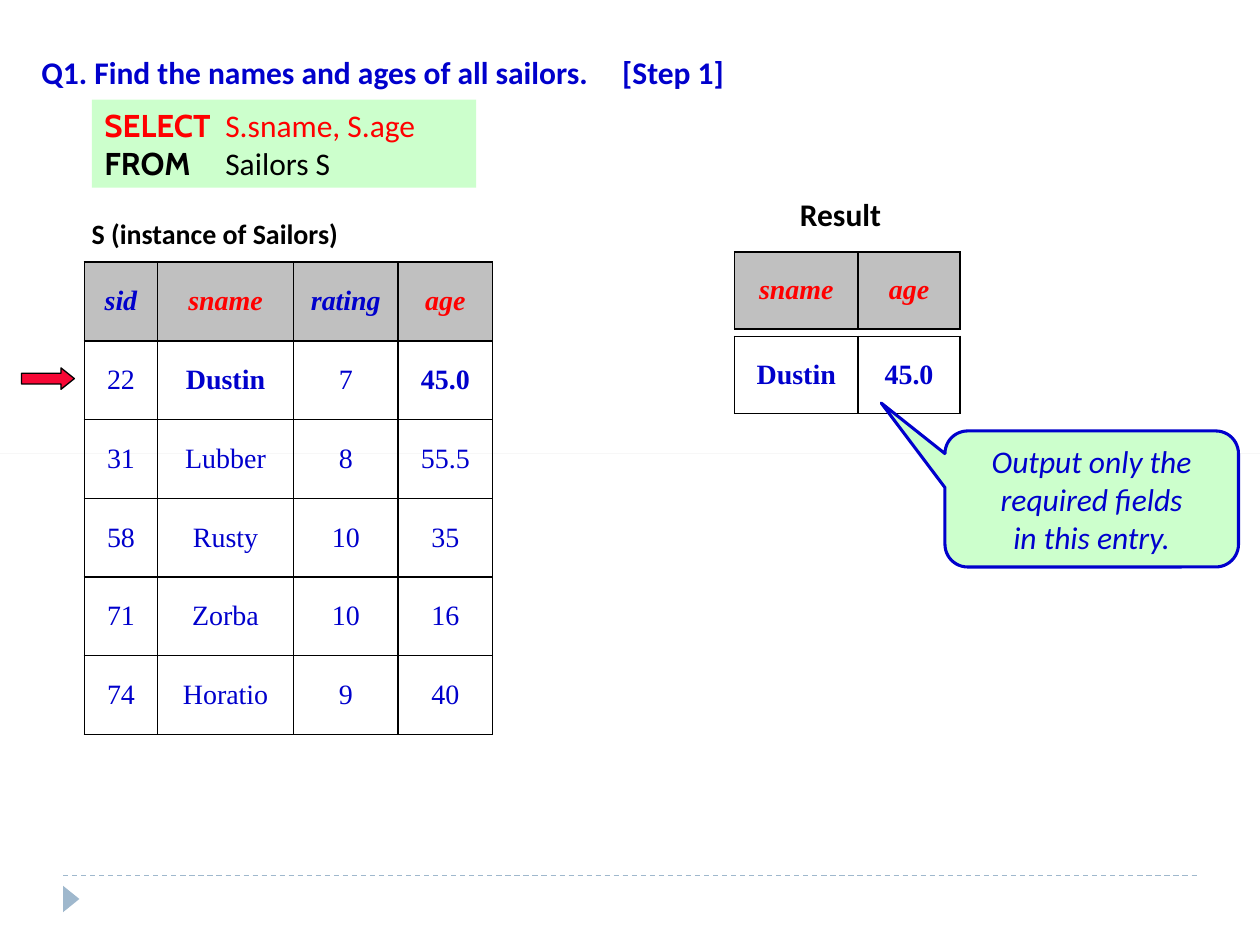
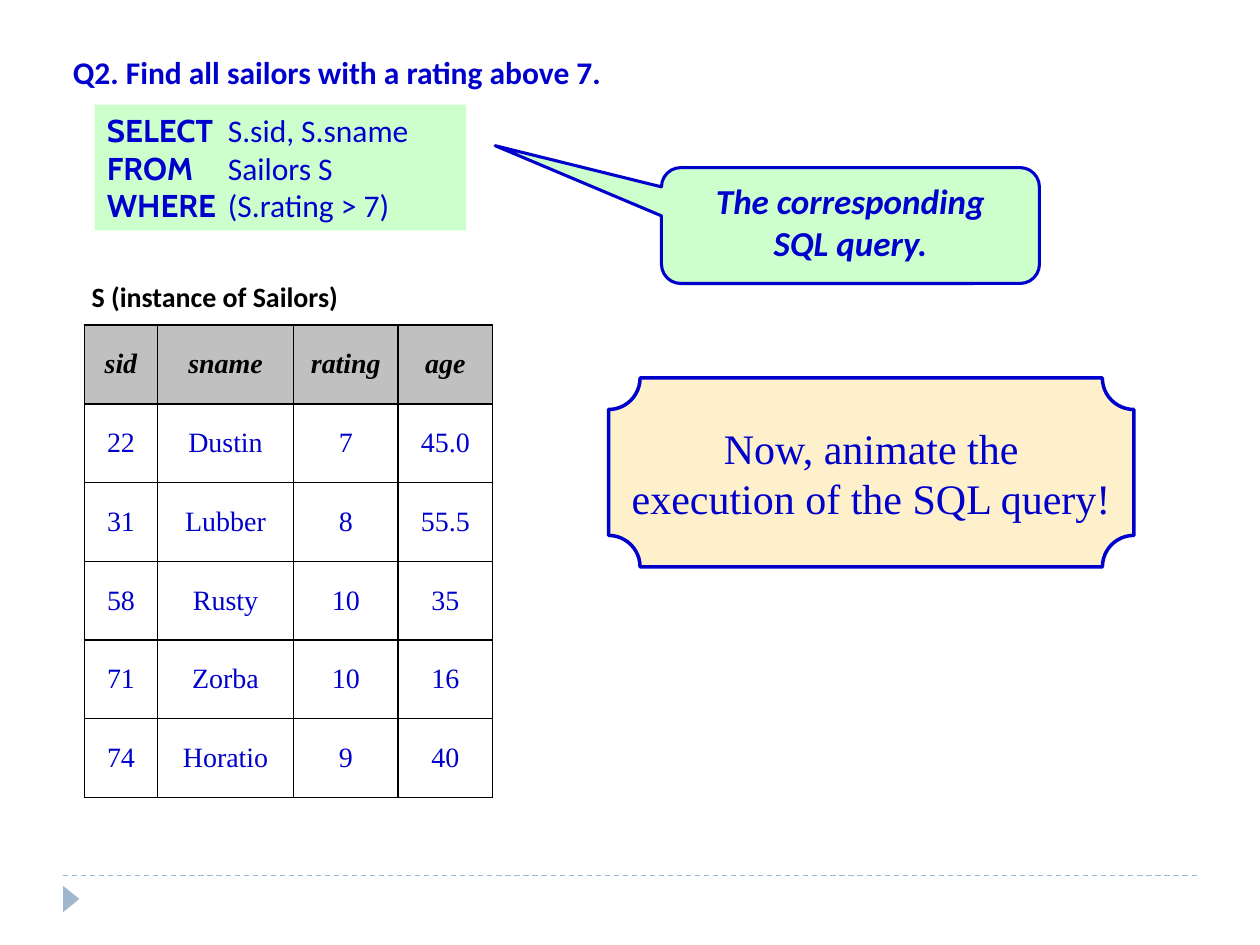
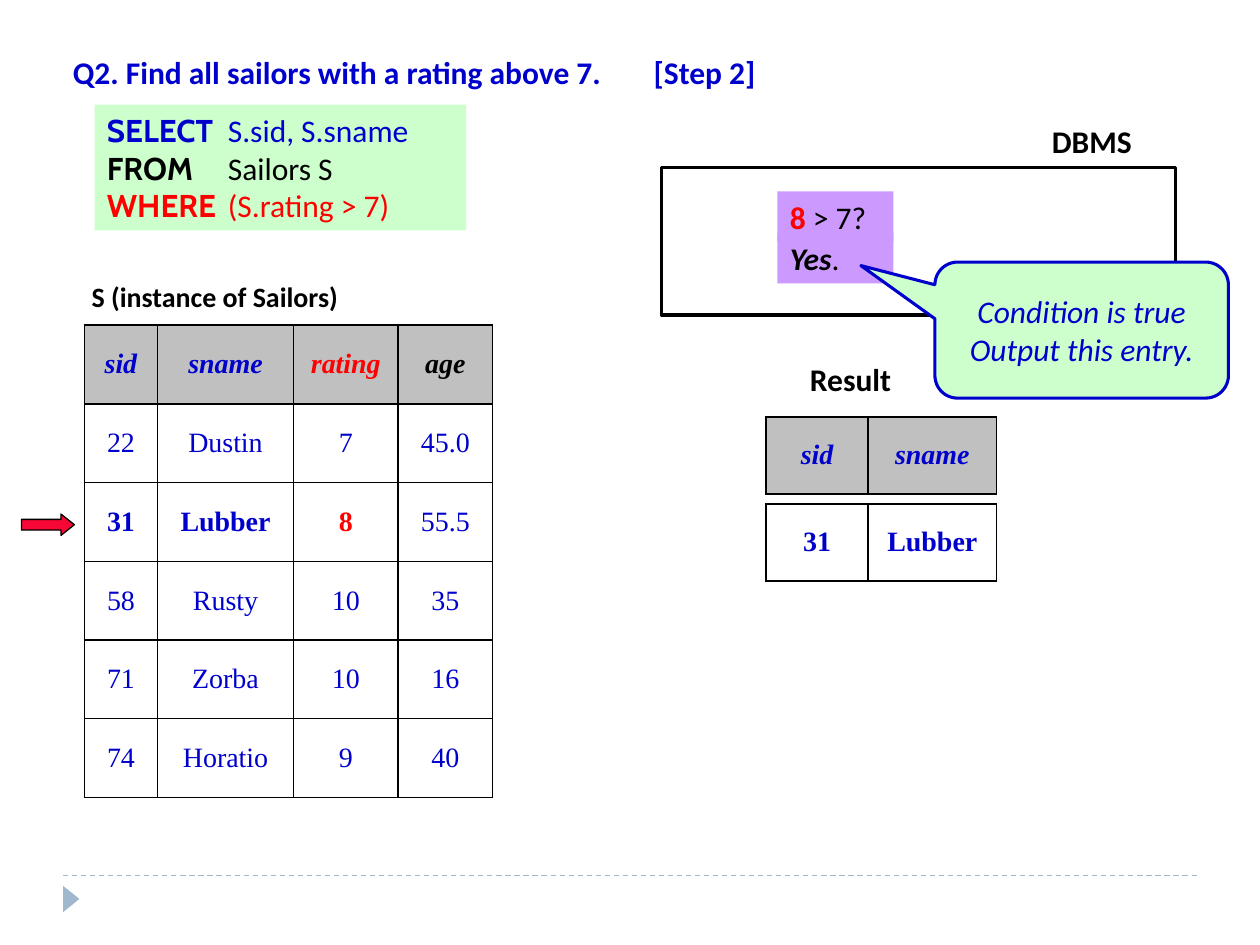
from typing import NamedTuple, Optional

from lxml.etree import SubElement
from pptx import Presentation
from pptx.dml.color import RGBColor
from pptx.enum.dml import MSO_LINE
from pptx.enum.shapes import MSO_CONNECTOR, MSO_SHAPE
from pptx.enum.text import MSO_ANCHOR, PP_ALIGN
from pptx.oxml.ns import qn
from pptx.util import Inches, Pt

BLUE, RED, BLACK = "0000CC", "FF0000", "000000"
GREEN, PURPLE, CREAM, GRAY = "CCFFCC", "CC99FF", "FDF0CA", "C0C0C0"
FOOTER_COLOR, ARROW_COLOR = "9FB8CD", "F70735"
SANS, KEYWORD_FONT, SERIF = "Calibri", "Cabin", "Times New Roman"

STEP_TAB, CLAUSE_TAB = 4.61, 0.96
SAILOR_WIDTHS = [0.58, 1.08, 0.83, 0.75]
SAILOR_ROW_HEIGHT, RESULT_ROW_HEIGHT = 0.625, 0.61
SAILOR_FIELDS = ["sid", "sname", "rating", "age"]
SAILORS = [
    ["22", "Dustin", "7", "45.0"],
    ["31", "Lubber", "8", "55.5"],
    ["58", "Rusty", "10", "35"],
    ["71", "Zorba", "10", "16"],
    ["74", "Horatio", "9", "40"],
]


class Box(NamedTuple):
    left: float
    top: float
    width: float
    height: float


class Run(NamedTuple):
    text: str
    color: str = BLACK
    bold: bool = False
    italic: bool = False
    font: str = SANS
    size: float = 18


class Clause(NamedTuple):
    keyword: str
    body: str
    color: str


class Frame(NamedTuple):
    """Fill and outline of a shape."""
    fill: Optional[str] = None
    line: Optional[str] = None
    line_width: float = 1.75


def rgb(color: str) -> RGBColor:
    return RGBColor.from_string(color)


# Text
def write(text_frame, lines: list[list[Run]], align=PP_ALIGN.LEFT,
          anchor=MSO_ANCHOR.TOP, tab: Optional[float] = None) -> None:
    text_frame.word_wrap = True
    text_frame.vertical_anchor = anchor
    for index, line in enumerate(lines):
        paragraph = text_frame.paragraphs[0] if index == 0 else text_frame.add_paragraph()
        paragraph.alignment = align
        if tab is not None:
            tab_list = SubElement(paragraph._p.get_or_add_pPr(), qn("a:tabLst"))
            SubElement(tab_list, qn("a:tab"), pos=str(Inches(tab)), algn="l")
        for item in line:
            run = paragraph.add_run()
            run.text = item.text
            run.font.name, run.font.size = item.font, Pt(item.size)
            run.font.bold, run.font.italic = item.bold, item.italic
            run.font.color.rgb = rgb(item.color)


def add_label(slide, box: Box, run: Run, tab: Optional[float] = None) -> None:
    text_box = slide.shapes.add_textbox(*map(Inches, box))
    write(text_box.text_frame, [[run]], tab=tab)


# Shapes
def add_frame(slide, kind, box: Box, frame: Frame, adjustments: tuple = ()):
    shape = slide.shapes.add_shape(kind, *map(Inches, box))
    shape.shadow.inherit = False
    if frame.fill:
        shape.fill.solid()
        shape.fill.fore_color.rgb = rgb(frame.fill)
    else:
        shape.fill.background()
    if frame.line:
        shape.line.color.rgb = rgb(frame.line)
        shape.line.width = Pt(frame.line_width)
    else:
        shape.line.fill.background()
    for index, value in enumerate(adjustments):
        shape.adjustments[index] = value
    return shape


def add_callout(slide, box: Box, tip: tuple[float, float], lines: list[Run],
                anchor=MSO_ANCHOR.MIDDLE) -> None:
    callout = add_frame(slide, MSO_SHAPE.ROUNDED_RECTANGULAR_CALLOUT, box,
                        Frame(GREEN, BLUE), (*tip, 0.167))
    write(callout.text_frame, [[line] for line in lines], PP_ALIGN.CENTER, anchor)


def add_query(slide, box: Box, clauses: list[Clause]) -> None:
    panel = add_frame(slide, MSO_SHAPE.RECTANGLE, box, Frame(GREEN))
    lines = [[Run(clause.keyword, clause.color, bold=True, font=KEYWORD_FONT),
              Run("\t" + clause.body, clause.color)] for clause in clauses]
    write(panel.text_frame, lines, tab=CLAUSE_TAB)


def add_row_arrow(slide, top: float) -> None:
    add_frame(slide, MSO_SHAPE.RIGHT_ARROW, Box(0.17, top, 0.42, 0.17),
              Frame(ARROW_COLOR, BLACK, 0.75), (0.5, 0.625))


# Tables
def header_run(text: str, color: str) -> Run:
    return Run(text, color, bold=True, italic=True, font=SERIF, size=16)


def value_run(text: str, color: str = BLUE, bold: bool = False) -> Run:
    return Run(text, color, bold, font=SERIF, size=16)


def add_borders(cell) -> None:
    properties = cell._tc.get_or_add_tcPr()
    for index, side in enumerate(("a:lnL", "a:lnR", "a:lnT", "a:lnB")):
        line = properties.makeelement(qn(side), {"w": str(Pt(1))})
        properties.insert(index, line)
        fill = SubElement(line, qn("a:solidFill"))
        SubElement(fill, qn("a:srgbClr"), val=BLACK)


def add_grid(slide, left: float, top: float, widths: list[float],
             row_height: float, rows: list[list[Run]]) -> None:
    table = slide.shapes.add_table(
        len(rows), len(widths), Inches(left), Inches(top),
        Inches(sum(widths)), Inches(row_height * len(rows))).table
    table.first_row = table.horz_banding = False
    for column, width in zip(table.columns, widths):
        column.width = Inches(width)
    for row, runs in zip(table.rows, rows):
        row.height = Inches(row_height)
        for cell, run in zip(row.cells, runs):
            # Field names are the only italic cells
            if run.italic:
                cell.fill.solid()
                cell.fill.fore_color.rgb = rgb(GRAY)
            else:
                cell.fill.background()
            add_borders(cell)
            write(cell.text_frame, [[run]], PP_ALIGN.CENTER)
            cell.vertical_anchor = MSO_ANCHOR.MIDDLE


def add_sailors(slide, top: float, header_colors: list[str],
                bold: tuple = (), red: tuple = ()) -> None:
    """Draw the Sailors table with its caption; bold and red list the marked values."""
    add_label(slide, Box(0.63, top - 0.41, 2.54, 0.37),
              Run("S (instance of Sailors)", bold=True, size=16))
    header = [header_run(*field) for field in zip(SAILOR_FIELDS, header_colors)]
    body = [[value_run(value, RED if value in red else BLUE, value in bold)
             for value in sailor] for sailor in SAILORS]
    add_grid(slide, 0.67, top, SAILOR_WIDTHS, SAILOR_ROW_HEIGHT, [header] + body)


def add_result(slide, label_left: float, left: float, top: float, entry_top: float,
               widths: list[float], fields: list[str], color: str,
               entry: list[str]) -> None:
    add_label(slide, Box(label_left, top - 0.5, 1.08, 0.4), Run("Result", bold=True))
    add_grid(slide, left, top, widths, RESULT_ROW_HEIGHT,
             [[header_run(field, color) for field in fields]])
    add_grid(slide, left, entry_top, widths, RESULT_ROW_HEIGHT,
             [[value_run(value, bold=True) for value in entry]])


# Parts every slide shares
def start_slide(presentation, title: str, title_left: float):
    slide = presentation.slides.add_slide(presentation.slide_layouts[6])
    rule = slide.shapes.add_connector(MSO_CONNECTOR.STRAIGHT, Inches(0.5), Inches(6.95),
                                      Inches(9.5), Inches(6.95))
    rule.line.color.rgb = rgb(FOOTER_COLOR)
    rule.line.width = Pt(0.75)
    rule.line.dash_style = MSO_LINE.DASH
    SubElement(rule._element.spPr, qn("a:effectLst"))
    marker = add_frame(slide, MSO_SHAPE.ISOSCELES_TRIANGLE, Box(0.46, 7.07, 0.21, 0.13),
                       Frame(FOOTER_COLOR))
    marker.rotation = 90
    add_label(slide, Box(title_left, 0.37, 8.18, 0.4), Run(title, BLUE, bold=True), STEP_TAB)
    return slide


def build_names_step(presentation) -> None:
    slide = start_slide(presentation, "Q1. Find the names and ages of all sailors.\t[Step 1]", 0.23)
    add_frame(slide, MSO_SHAPE.RECTANGLE, Box(0, 3.6, 10, 0), Frame(GRAY))
    add_row_arrow(slide, 2.92)
    add_sailors(slide, 2.08, [BLUE, RED, BLUE, RED], bold=("Dustin", "45.0"))
    add_result(slide, 6.25, 5.83, 2, 2.67, [0.98, 0.81],
               ["sname", "age"], RED, ["Dustin", "45.0"])
    add_query(slide, Box(0.73, 0.79, 3.05, 0.7), [
        Clause("SELECT", "S.sname, S.age", RED),
        Clause("FROM", "Sailors S", BLACK),
    ])
    add_callout(slide, Box(7.5, 3.42, 2.33, 1.08), (-0.717, -0.705), [
        Run("Output only the required fields", BLUE, italic=True),
        Run("in this entry.", BLUE, italic=True),
    ])


def add_rating_query(slide, from_color: str, where_color: str) -> None:
    add_query(slide, Box(0.75, 0.83, 2.95, 1), [
        Clause("SELECT", "S.sid, S.sname", BLUE),
        Clause("FROM", "Sailors S", from_color),
        Clause("WHERE", "(S.rating > 7)", where_color),
    ])


def build_rating_query(presentation) -> None:
    slide = start_slide(presentation, "Q2. Find all sailors with a rating above 7.", 0.48)
    add_rating_query(slide, BLUE, BLUE)
    add_sailors(slide, 2.58, [BLACK] * 4)
    add_callout(slide, Box(5.25, 1.33, 3, 0.92), (-0.94, -0.689), [
        Run("The corresponding", BLUE, True, True, size=20),
        Run("SQL query.", BLUE, True, True, size=20),
    ], MSO_ANCHOR.TOP)
    plaque = add_frame(slide, MSO_SHAPE.PLAQUE, Box(4.83, 3, 4.17, 1.5),
                       Frame(CREAM, BLUE, 2), (0.167,))
    write(plaque.text_frame,
          [[Run(line, BLUE, font=SERIF, size=24)]
           for line in ("Now, animate the", "execution of the SQL query!")],
          PP_ALIGN.CENTER, MSO_ANCHOR.MIDDLE)
    plaque.text_frame.word_wrap = False


def build_rating_step(presentation) -> None:
    slide = start_slide(presentation, "Q2. Find all sailors with a rating above 7.\t[Step 2]", 0.48)
    add_row_arrow(slide, 4.08)
    add_sailors(slide, 2.58, [BLUE, BLUE, RED, BLACK], bold=("31", "Lubber", "8"), red=("8",))
    add_result(slide, 6.33, 6.08, 3.31, 4, [0.81, 1.02],
               ["sid", "sname"], BLUE, ["31", "Lubber"])
    # Condition check inside the DBMS
    checks = [
        (1.52, [Run("8", RED, bold=True), Run(" > 7?")]),
        (1.85, [Run("Yes", bold=True, italic=True), Run(".")]),
    ]
    for top, runs in checks:
        check = add_frame(slide, MSO_SHAPE.RECTANGLE, Box(6.17, top, 0.92, 0.4), Frame(PURPLE))
        write(check.text_frame, [runs])
    add_frame(slide, MSO_SHAPE.RECTANGLE, Box(5.25, 1.33, 4.08, 1.17), Frame(None, BLACK, 2.25))
    add_label(slide, Box(8.25, 0.92, 1.08, 0.4), Run("DBMS", bold=True))
    add_rating_query(slide, BLACK, RED)
    add_callout(slide, Box(7.42, 2.08, 2.33, 1.08), (-0.752, -0.474), [
        Run("Condition is true", BLUE, italic=True),
        Run("Output this entry.", BLUE, italic=True),
    ])


def main() -> None:
    presentation = Presentation()
    presentation.slide_width, presentation.slide_height = Inches(10), Inches(7.5)
    build_names_step(presentation)
    build_rating_query(presentation)
    build_rating_step(presentation)
    presentation.save("out.pptx")


if __name__ == "__main__":
    main()
